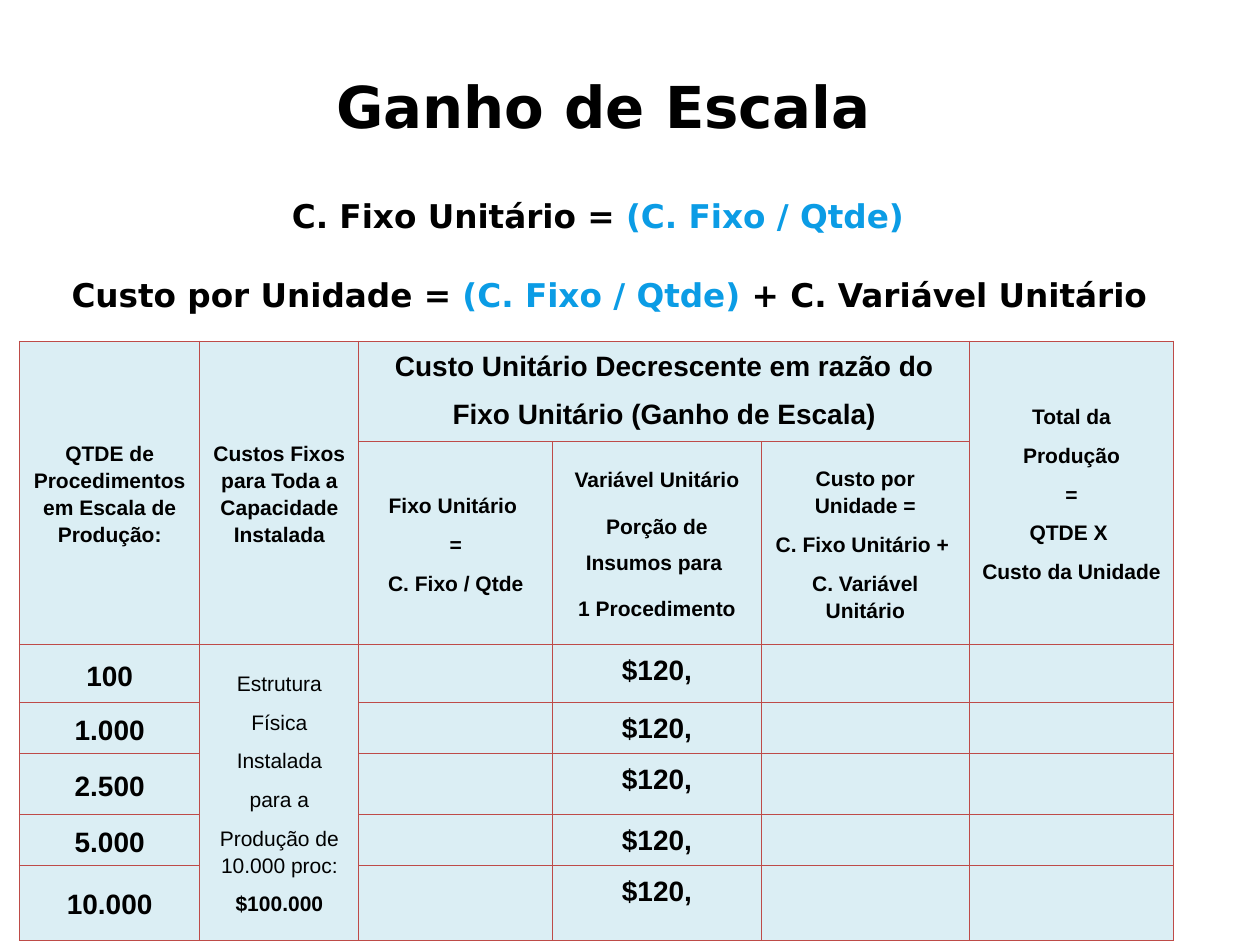
from pptx import Presentation
from pptx.dml.color import RGBColor
from pptx.enum.text import MSO_ANCHOR, PP_ALIGN
from pptx.oxml import parse_xml
from pptx.oxml.ns import nsdecls
from pptx.util import Pt

BLACK = RGBColor(0x00, 0x00, 0x00)
BLUE = RGBColor(0x0B, 0x9C, 0xE5)
PALE_BLUE = RGBColor(0xDB, 0xEE, 0xF4)
RED = RGBColor(0xBE, 0x4B, 0x48)


def set_margins(area):
    area.margin_left = area.margin_right = Pt(10.8)
    area.margin_top = area.margin_bottom = Pt(5.04)


def write_cell(cell, lines, size=18, bold=True, anchor=MSO_ANCHOR.MIDDLE, spacings=()):
    """Write one paragraph per line; spacings overrides the line spacing of each."""
    cell.vertical_anchor = anchor
    frame = cell.text_frame
    frame.text = "\n".join(lines)
    for index, paragraph in enumerate(frame.paragraphs):
        paragraph.alignment = PP_ALIGN.CENTER
        paragraph.line_spacing = spacings[index] if spacings else 1.15
        paragraph.space_after = Pt(10)
        paragraph.font.name = "Arial"
        paragraph.font.size = Pt(size)
        paragraph.font.bold = bold
        paragraph.font.color.rgb = BLACK


presentation = Presentation()
presentation.slide_width = Pt(1080)
presentation.slide_height = Pt(810)
slide = presentation.slides.add_slide(presentation.slide_layouts[6])

# Title and formulas: size, space before, coloured runs
heading_lines = [
    (49.5, 0, [("Ganho de Escala", BLACK)]),
    (28, 47.5, [("C. Fixo Unitário = ", BLACK), ("(C. Fixo / Qtde) ", BLUE)]),
    (28, 34, [(" Custo por Unidade = ", BLACK), ("(C. Fixo / Qtde) ", BLUE),
              ("+ C. Variável Unitário", BLACK)]),
]
heading = slide.shapes.add_textbox(Pt(22.3), Pt(50.4), Pt(990), Pt(214)).text_frame
heading.word_wrap = True
set_margins(heading)
heading.margin_top = Pt(10.6)
for index, (size, space_before, runs) in enumerate(heading_lines):
    paragraph = heading.add_paragraph() if index else heading.paragraphs[0]
    paragraph.alignment = PP_ALIGN.CENTER
    paragraph.space_before = Pt(space_before)
    paragraph.font.name = "DejaVu Sans"
    paragraph.font.size = Pt(size)
    paragraph.font.bold = True
    for text, colour in runs:
        run = paragraph.add_run()
        run.text = text
        run.font.color.rgb = colour

# Table grid
column_widths = [154.8, 136.1, 166.3, 178.6, 178.6, 175]
row_heights = [82.3, 166.3, 49.7, 43.7, 52.3, 41.5, 64.3]
table = slide.shapes.add_table(
    len(row_heights), len(column_widths), Pt(16.6), Pt(292.3),
    Pt(sum(column_widths)), Pt(sum(row_heights))).table
table.first_row = False
table.horz_banding = False
for column, width in zip(table.columns, column_widths):
    column.width = Pt(width)
for row, height in zip(table.rows, row_heights):
    row.height = Pt(height)

for cell in table.iter_cells():
    set_margins(cell)
    properties = cell._tc.get_or_add_tcPr()
    for side in ("lnL", "lnR", "lnT", "lnB"):
        properties.append(parse_xml(
            f'<a:{side} {nsdecls("a")} w="{Pt(1)}"><a:solidFill>'
            f'<a:srgbClr val="{RED}"/></a:solidFill></a:{side}>'))
    cell.fill.solid()
    cell.fill.fore_color.rgb = PALE_BLUE

for first, last in [((0, 0), (1, 0)), ((0, 1), (1, 1)), ((0, 2), (0, 4)),
                    ((0, 5), (1, 5)), ((2, 1), (6, 1))]:
    table.cell(*first).merge(table.cell(*last))

# Header cells
write_cell(table.cell(0, 0), ["QTDE de Procedimentos em Escala de Produção:"])
write_cell(table.cell(0, 1), ["Custos Fixos para Toda a Capacidade Instalada"])
write_cell(table.cell(0, 2), ["Custo Unitário Decrescente em razão do",
                              "Fixo Unitário (Ganho de Escala)"],
           size=24, anchor=MSO_ANCHOR.TOP)
write_cell(table.cell(0, 5), ["Total da", "Produção", "=", "QTDE X ", "Custo da Unidade"])
write_cell(table.cell(1, 2), ["Fixo Unitário ", "=", "C. Fixo / Qtde"])
write_cell(table.cell(1, 3), ["Variável Unitário", "Porção de Insumos para ",
                              "1 Procedimento"], spacings=(1.15, 1.5, 1.5))
write_cell(table.cell(1, 4), ["Custo por Unidade =", "C. Fixo Unitário + ",
                              "C. Variável Unitário"])

# Body cells
structure = table.cell(2, 1)
write_cell(structure, ["Estrutura", "Física", "Instalada", "para a",
                       "Produção de 10.000 proc:", "$100.000"], bold=False)
structure.text_frame.paragraphs[-1].font.bold = True
structure.text_frame.paragraphs[-1].runs[0].font.bold = True
for row_index, quantity in enumerate(["100", "1.000", "2.500", "5.000", "10.000"], start=2):
    write_cell(table.cell(row_index, 0), [quantity], size=24)
    write_cell(table.cell(row_index, 3), ["$120,"], size=24, anchor=MSO_ANCHOR.TOP)

presentation.save("out.pptx")
